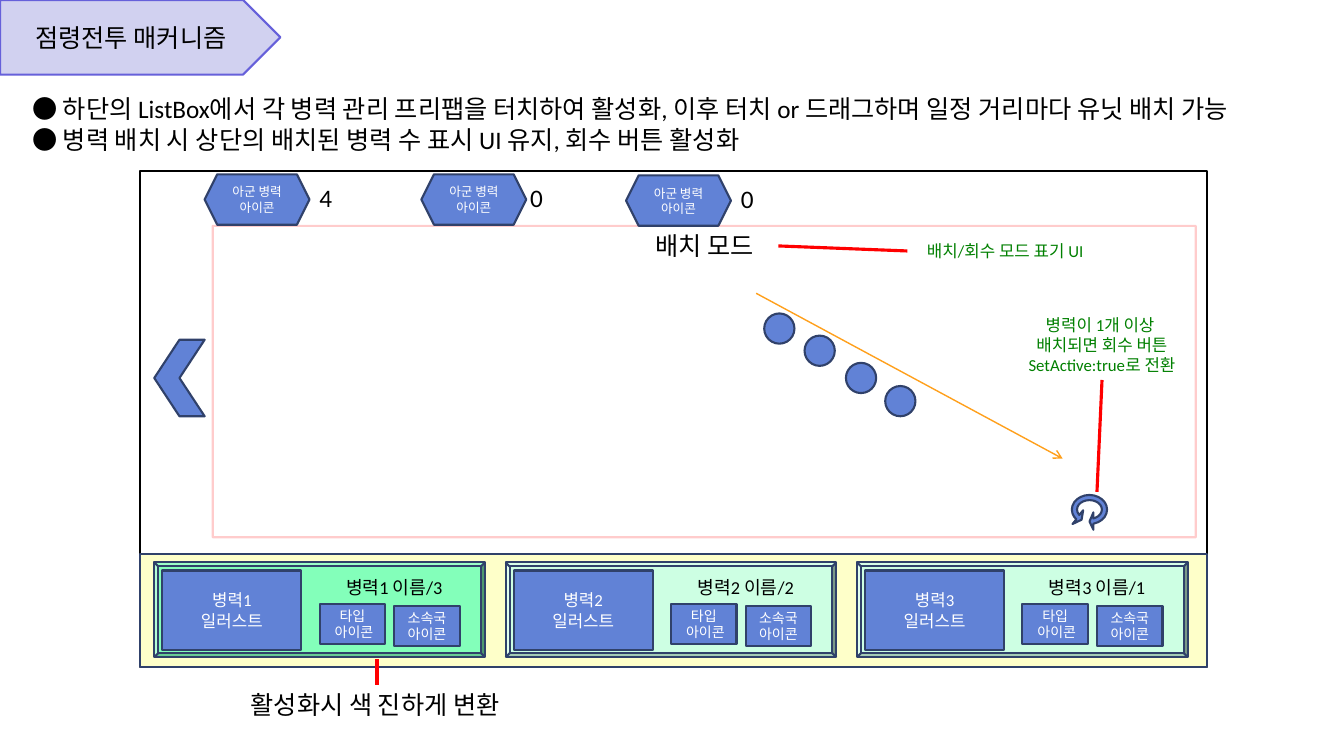
from lxml import etree
from pptx import Presentation
from pptx.dml.color import RGBColor
from pptx.enum.shapes import MSO_CONNECTOR, MSO_SHAPE as Shape
from pptx.enum.text import MSO_ANCHOR, MSO_AUTO_SIZE, PP_ALIGN as Align
from pptx.oxml.ns import qn
from pptx.util import Inches, Pt

BLACK, WHITE, RED, GREEN = "000000", "FFFFFF", "FF0000", "008000"
BLUE, NAVY = "6182D6", "30416A"


def paint(color_format, color):
    """Give a fill, line or font colour format a hex colour."""
    color_format.rgb = RGBColor.from_string(color)


def write(frame, lines, size, color, align):
    """Write one paragraph per line and format its runs."""
    frame.word_wrap = True
    frame.text = "\n".join(lines)
    for paragraph in frame.paragraphs:
        paragraph.alignment = align
        for run in paragraph.runs:
            run.font.size = Pt(size)
            run.font.name = "Calibri"
            paint(run.font.color, color)


def add_block(slide, kind, left, top, width, height, fill=BLUE, line=NAVY,
              lines=(), size=12, color=WHITE, adjustments=()):
    """Add a preset shape with an outline and optional centred text."""
    block = slide.shapes.add_shape(
        kind, Inches(left), Inches(top), Inches(width), Inches(height))
    block.shadow.inherit = False
    if fill:
        block.fill.solid()
        paint(block.fill.fore_color, fill)
    else:
        block.fill.background()
    paint(block.line.color, line)
    block.line.width = Pt(1.5)
    for index, value in enumerate(adjustments):
        block.adjustments[index] = value
    if lines:
        block.text_frame.vertical_anchor = MSO_ANCHOR.MIDDLE
        write(block.text_frame, lines, size, color, Align.CENTER)
    return block


def add_label(slide, left, top, width, height, lines, size=18, color=BLACK,
              align=Align.CENTER):
    """Add a wrapping text box."""
    label = slide.shapes.add_textbox(
        Inches(left), Inches(top), Inches(width), Inches(height))
    write(label.text_frame, lines, size, color, align)
    label.text_frame.auto_size = MSO_AUTO_SIZE.SHAPE_TO_FIT_TEXT


def add_line(slide, x1, y1, x2, y2, color=RED, width=2.25, arrow=False):
    """Add a straight line, with an open arrowhead if asked."""
    line = slide.shapes.add_connector(
        MSO_CONNECTOR.STRAIGHT, Inches(x1), Inches(y1), Inches(x2), Inches(y2))
    paint(line.line.color, color)
    line.line.width = Pt(width)
    if arrow:
        etree.SubElement(line.line._get_or_add_ln(), qn("a:tailEnd"), type="arrow")
    etree.SubElement(line._element.spPr, qn("a:effectLst"))


def add_header(slide, left, top):
    """Add the title tag and the two points below it."""
    add_block(slide, Shape.PENTAGON, left, top, 2.78, 0.74, "D1D1F0", "6660DA",
              ["점령전투 매커니즘"], 18, BLACK)
    add_label(slide, left + 0.22, top + 0.88, 13.04, 0.7, [
        "● 하단의 ListBox에서 각 병력 관리 프리팹을 터치하여 활성화, "
        "이후 터치 or 드래그하며 일정 거리마다 유닛 배치 가능",
        "● 병력 배치 시 상단의 배치된 병력 수 표시 UI 유지, 회수 버튼 활성화",
    ], align=Align.LEFT)


def add_troop_card(slide, left, top, number, limit, fill):
    """Add one troop card with illustration, name and two icons."""
    add_block(slide, Shape.BEVEL, left, top, 3.28, 0.94, fill, adjustments=[0.042])
    add_block(slide, Shape.RECTANGLE, left + 0.08, top + 0.08, 1.38, 0.79,
              lines=[f"병력{number}", "일러스트"])
    add_label(slide, left + 1.37, top + 0.09, 2.02, 0.31,
              [f"병력{number} 이름/{limit}"], 13)
    add_block(slide, Shape.RECTANGLE, left + 1.64, top + 0.41, 0.65, 0.4,
              lines=["타입", " 아이콘"], size=10)
    add_block(slide, Shape.RECTANGLE, left + 2.38, top + 0.43, 0.65, 0.4,
              lines=["소속국", "아이콘"], size=10)


def add_troop_list(slide, left, top, width, height):
    """Add the bottom list of troop cards and the note on the active one."""
    add_block(slide, Shape.RECTANGLE, left, top, width, height, "FEFFC9")
    for index, (limit, fill) in enumerate(
            [(3, "83FFBA"), (2, "CDFFE3"), (1, "CDFFE3")]):
        add_troop_card(slide, left + 0.14 + index * 3.485, top + 0.08,
                       index + 1, limit, fill)
    add_line(slide, left + 2.35, top + 1.04, left + 2.35, top + 1.3)
    add_label(slide, left + 0.64, top + 1.29, 3.38, 0.4, ["활성화시 색 진하게 변환"])


def add_troop_counts(slide, left, top):
    """Add the row of allied troop icons with their counts."""
    for x, y, gap, count in [(0, 0, 1.04, 4), (2.15, 0, 0.98, 0), (4.18, 0.01, 1.04, 0)]:
        add_block(slide, Shape.HEXAGON, left + x, top + y, 1.04, 0.5,
                  lines=["아군 병력 아이콘"], size=9, adjustments=[0.25, 1.155])
        add_label(slide, left + x + gap, top + y + 0.03, 1.02, 0.4, [str(count)],
                  align=Align.LEFT)


def add_field(slide, left, top, width, height):
    """Add the placement field with its units, drag arrow and notes."""
    add_label(slide, left + 3.58, top, 2.6, 0.4, ["배치 모드"])
    field = add_block(slide, Shape.RECTANGLE, left, top, width, height, None, RED)
    line_color = field.line._get_or_add_ln().find(".//" + qn("a:srgbClr"))
    etree.SubElement(line_color, qn("a:alpha"), val="20000")

    add_line(slide, left + 5.39, top + 0.67, left + 8.43, top + 2.31,
             "FFA01C", 1, arrow=True)
    for x, y in [(5.47, 0.87), (5.87, 1.09), (6.28, 1.36), (6.67, 1.59)]:
        add_block(slide, Shape.OVAL, left + x, top + y, 0.3, 0.3)

    recall = add_block(slide, Shape.LEFT_RIGHT_CIRCULAR_ARROW,
                       left + 8.49, top + 2.58, 0.41, 0.47,
                       adjustments=[0.125, 11.423, 204.577, 33.983, 0.21])
    recall.rotation = 90
    add_line(slide, left + 8.77, top + 2.64, left + 8.82, top + 1.53)
    add_label(slide, left + 7.85, top + 0.83, 1.94, 0.69,
              ["병력이 1개 이상 ", "배치되면 회수 버튼", "SetActive:true로 전환"],
              12, GREEN)
    add_line(slide, left + 5.61, top + 0.2, left + 6.89, top + 0.25)
    add_label(slide, left + 6.89, top + 0.1, 1.94, 0.29,
              ["배치/회수 모드 표기 UI"], 12, GREEN)


def add_game_screen(slide, left, top, width, height):
    """Add the game screen with all its regions."""
    add_block(slide, Shape.RECTANGLE, left, top, width, height, None, BLACK)
    add_troop_list(slide, left, top + 3.8, width, height - 3.8)
    back = add_block(slide, Shape.CHEVRON, left + 0.14, top + 1.67, 0.5, 0.76)
    back.rotation = 180
    add_field(slide, left + 0.72, top + 0.54, 9.75, 3.09)
    add_troop_counts(slide, left + 0.64, top + 0.03)


def main():
    """Build the slide and save it."""
    deck = Presentation()
    deck.slide_width, deck.slide_height = Inches(13.33), Inches(7.5)
    slide = deck.slides.add_slide(deck.slide_layouts[6])
    add_header(slide, 0, 0)
    add_game_screen(slide, 1.39, 1.7, 10.58, 4.92)
    deck.save("out.pptx")


if __name__ == "__main__":
    main()
